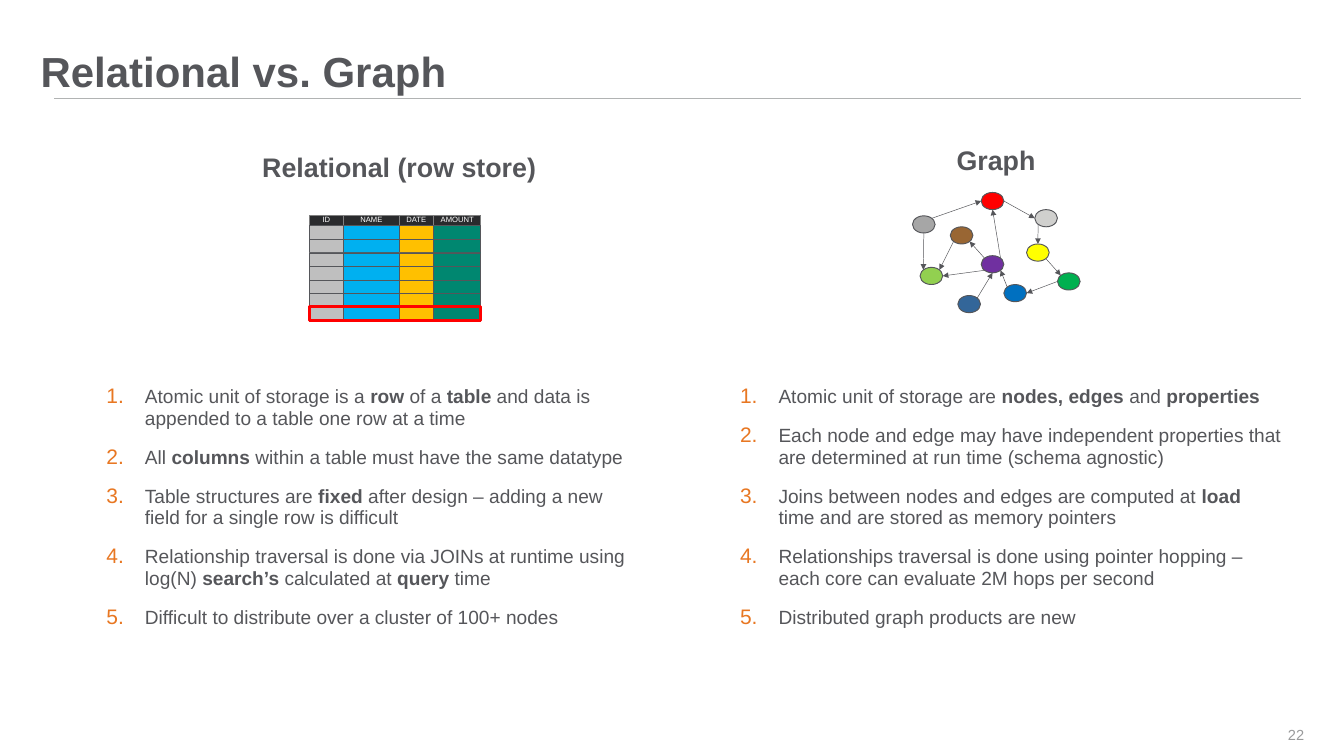
import math

from lxml import etree
from pptx import Presentation
from pptx.dml.color import RGBColor
from pptx.enum.shapes import MSO_CONNECTOR, MSO_SHAPE
from pptx.enum.text import MSO_ANCHOR, PP_ALIGN
from pptx.oxml.ns import qn
from pptx.util import Inches, Pt

STRAIGHT = MSO_CONNECTOR.STRAIGHT
OVAL, RECTANGLE = MSO_SHAPE.OVAL, MSO_SHAPE.RECTANGLE
TOP, MIDDLE, BOTTOM = MSO_ANCHOR.TOP, MSO_ANCHOR.MIDDLE, MSO_ANCHOR.BOTTOM
LEFT, CENTER, RIGHT = PP_ALIGN.LEFT, PP_ALIGN.CENTER, PP_ALIGN.RIGHT

FONT = "Arial"
GREY = "55565A"
ORANGE = "E87722"

# Content: text between asterisks is bold
TITLE = "Relational vs. Graph"
PAGE_NUMBER = "22"
HEADINGS = [
    ("Relational (row store)", (3.29, 2.22, 5.04, 0.5)),
    ("Graph", (11.69, 2.13, 5.61, 0.79)),
]
LISTS = [
    ((1.55, 5.62, 7.7, 4.36), [
        "Atomic unit of storage is a *row* of a *table* and data is appended to a table one row at a time",
        "All *columns* within a table must have the same datatype",
        "Table structures are *fixed* after design – adding a new field for a single row is difficult",
        "Relationship traversal is done via JOINs at runtime using log(N) *search’s* calculated at *query* time",
        "Difficult to distribute over a cluster of 100+ nodes",
    ]),
    ((10.77, 5.62, 7.89, 4.36), [
        "Atomic unit of storage are *nodes, edges *and* properties*",
        "Each node and edge may have independent properties that are determined at run time (schema agnostic)",
        "Joins between nodes and edges are computed at *load* time and are stored as memory pointers",
        "Relationships traversal is done using pointer hopping – each core can evaluate 2M hops per second",
        "Distributed graph products are new",
    ]),
]

# Row store: column name, width, colour
COLUMNS = [("ID", 0.5, "BFBFBF"), ("NAME", 0.81, "00B0F0"),
           ("DATE", 0.5, "FFC000"), ("AMOUNT", 0.69, "008770")]
TABLE_LEFT, TABLE_TOP = 4.5, 3.13
HEADER_HEIGHT, ROW_HEIGHT, ROW_COUNT = 0.155, 0.198, 7

# Graph: node left, top, colour
NODE_WIDTH, NODE_HEIGHT = 0.33, 0.25
NODES = {
    "red": (14.28, 2.8, "FF0000"), "brown": (13.83, 3.3, "996633"),
    "purple": (14.28, 3.72, "7030A0"), "silver": (15.06, 3.05, "D0D0CE"),
    "yellow": (14.94, 3.55, "FFFF00"), "lime": (13.39, 3.89, "92D050"),
    "blue": (14.61, 4.14, "0070C0"), "grey": (13.28, 3.14, "A6A6A6"),
    "green": (15.39, 3.97, "00B050"), "navy": (13.94, 4.3, "336699"),
}
# Compass point on each node's rim, in degrees clockwise from east
COMPASS = {"E": 0, "SE": 45, "S": 90, "SW": 135, "W": 180, "NW": 225, "N": 270, "NE": 315}
EDGES = [
    ("grey", "NE", "red", "W"), ("red", "E", "silver", "W"),
    ("silver", "SW", "yellow", "N"), ("yellow", "SE", "green", "NW"),
    ("green", "W", "blue", "E"), ("blue", "NW", "purple", "SE"),
    ("purple", "NW", "brown", "SE"), ("brown", "SW", "lime", "NE"),
    ("grey", "S", "lime", "NW"), ("purple", "NE", "red", "S"),
    ("purple", "SW", "lime", "E"), ("navy", "NE", "purple", "S"),
]


def color(value):
    return RGBColor.from_string(value)


def add_runs(paragraph, text, size, fill, bold=False):
    for index, part in enumerate(text.split("*")):
        if part:
            run = paragraph.add_run()
            run.text = part
            run.font.name, run.font.size = FONT, Pt(size)
            run.font.bold = bold or index % 2 == 1
            run.font.color.rgb = color(fill)


def set_frame(frame, anchor, side_margin=0, wrap=True):
    frame.margin_left = frame.margin_right = Inches(side_margin)
    frame.margin_top = frame.margin_bottom = 0
    frame.word_wrap, frame.vertical_anchor = wrap, anchor


def add_text(box, text, size, fill=GREY, bold=False, align=LEFT, anchor=TOP, spacing=1.0):
    frame = slide.shapes.add_textbox(*map(Inches, box)).text_frame
    set_frame(frame, anchor)
    paragraph = frame.paragraphs[0]
    paragraph.alignment, paragraph.line_spacing = align, spacing
    add_runs(paragraph, text, size, fill, bold)


def add_numbered_list(box, items):
    frame = slide.shapes.add_textbox(*map(Inches, box)).text_frame
    set_frame(frame, TOP)
    for index, item in enumerate(items):
        paragraph = frame.add_paragraph() if index else frame.paragraphs[0]
        paragraph.line_spacing = 0.95
        paragraph.space_before = Pt(10.2 if index else 0)
        paragraph.space_after = Pt(7.7)
        properties = paragraph._p.get_or_add_pPr()
        properties.set("marL", str(Inches(0.56)))
        properties.set("indent", str(-Inches(0.56)))
        bullet_color = etree.SubElement(properties, qn("a:buClr"))
        etree.SubElement(bullet_color, qn("a:srgbClr"), val=ORANGE)
        etree.SubElement(properties, qn("a:buSzPct"), val="110000")
        etree.SubElement(properties, qn("a:buFont"), typeface=FONT)
        etree.SubElement(properties, qn("a:buAutoNum"), type="arabicPeriod")
        add_runs(paragraph, item, 20, GREY)


def add_figure(shapes, kind, box, fill, line=GREY, width=1):
    shape = shapes.add_shape(kind, *map(Inches, box))
    shape.shadow.inherit = False
    if fill:
        shape.fill.solid()
        shape.fill.fore_color.rgb = color(fill)
    else:
        shape.fill.background()
    shape.line.color.rgb, shape.line.width = color(line), Pt(width)
    return shape


def add_line(shapes, start, end, line, width, arrow=False):
    connector = shapes.add_connector(STRAIGHT, *map(Inches, start + end))
    connector.line.color.rgb, connector.line.width = color(line), Pt(width)
    if arrow:
        etree.SubElement(connector.line._get_or_add_ln(), qn("a:tailEnd"), type="triangle")
    etree.SubElement(connector._element.spPr, qn("a:effectLst"))


def rim_point(node, direction):
    left, top, _ = NODES[node]
    angle = math.radians(COMPASS[direction])
    return (left + NODE_WIDTH / 2 * (1 + math.cos(angle)),
            top + NODE_HEIGHT / 2 * (1 + math.sin(angle)))


presentation = Presentation()
presentation.slide_width, presentation.slide_height = Inches(19.56), Inches(11)
slide = presentation.slides.add_slide(presentation.slide_layouts[6])

# Title, rule and page number
add_line(slide.shapes, (0.79, 1.43), (18.94, 1.43), "B1B3B3", 1)
add_text((0.59, 0.51, 18.15, 0.89), TITLE, 44, bold=True, anchor=BOTTOM, spacing=0.9)
add_text((18, 10.4, 0.98, 0.59), PAGE_NUMBER, 15.3, "999A9B", align=RIGHT, anchor=MIDDLE)

# Numbered lists and headings
for box, items in LISTS:
    add_numbered_list(box, items)
for heading, box in HEADINGS:
    add_text(box, heading, 28.1, bold=True, align=CENTER, spacing=0.95)

# Graph diagram
graph = slide.shapes.add_group_shape().shapes
for left, top, fill in NODES.values():
    add_figure(graph, OVAL, (left, top, NODE_WIDTH, NODE_HEIGHT), fill)
for source, source_side, target, target_side in EDGES:
    add_line(graph, rim_point(source, source_side), rim_point(target, target_side), GREY, 0.5, True)

# Row store diagram
row_store = slide.shapes.add_group_shape().shapes
left = TABLE_LEFT
for name, width, fill in COLUMNS:
    header = add_figure(row_store, RECTANGLE, (left, TABLE_TOP, width, HEADER_HEIGHT), "2A2B2D", "808080")
    set_frame(header.text_frame, TOP, 0.1, wrap=False)
    header.text_frame.paragraphs[0].alignment = CENTER
    add_runs(header.text_frame.paragraphs[0], name, 8, "FFFFFF")
    for row in range(ROW_COUNT):
        top = TABLE_TOP + HEADER_HEIGHT + row * ROW_HEIGHT
        add_figure(row_store, RECTANGLE, (left, top, width, ROW_HEIGHT), fill)
    left += width

# Highlight around the last row
add_figure(row_store, RECTANGLE, (TABLE_LEFT, 4.46, left - TABLE_LEFT, 0.21), None, "FF0000", 3)

presentation.save("out.pptx")
